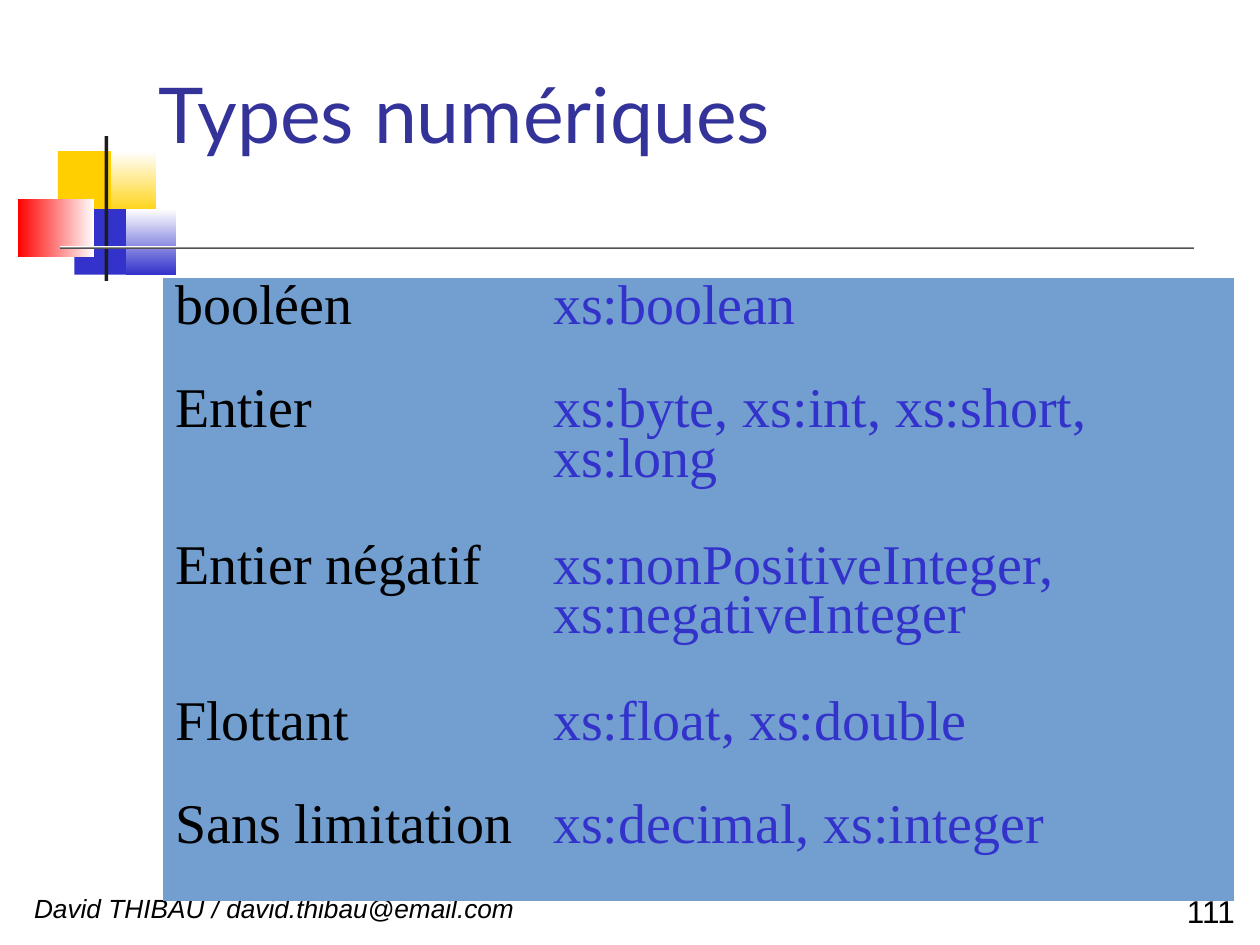
from pptx import Presentation
from pptx.dml.color import RGBColor as RGB
from pptx.enum.shapes import MSO_SHAPE as Shape
from pptx.enum.text import MSO_ANCHOR as Anchor, MSO_AUTO_SIZE as Fit, PP_ALIGN as Align
from pptx.oxml.ns import qn
from pptx.util import Inches, Pt

COLORS = {
    "yellow": "FFCF01", "blue": "3333CC", "red": "FF0000", "white": "FFFFFF",
    "dark": "1C1C1C", "title": "333399", "cell": "729FCF", "black": "000000",
}


def color(name):
    return RGB.from_string(COLORS[name])


def write(frame, text, face, size, tint, space, align=Align.LEFT):
    frame.word_wrap = True
    para = frame.paragraphs[0]
    para.alignment = align
    para.line_spacing = space
    run = para.add_run()
    run.text = text
    run.font.name = face
    run.font.size = Pt(size)
    run.font.color.rgb = color(tint)
    return run


deck = Presentation()
deck.slide_width, deck.slide_height = Inches(10), Inches(7.5)
slide = deck.slides.add_slide(deck.slide_layouts[5])

# Corner blocks and rules: left, top, width, height, colours, gradient angle
blocks = [
    (0.46, 1.2, 0.48, 0.52, ["yellow"], None),
    (0.88, 1.2, 0.36, 0.52, ["yellow", "white"], 90),
    (0.59, 1.66, 0.46, 0.52, ["blue"], None),
    (1, 1.66, 0.4, 0.52, ["blue", "white"], 90),
    (0.14, 1.58, 0.61, 0.46, ["white", "red"], 180),
    (0.83, 1.08, 0.03, 1.15, ["dark"], None),
    (0.48, 1.95, 9, 0.03, ["dark", "white"], 90),
]
for left, top, width, height, tints, angle in blocks:
    block = slide.shapes.add_shape(
        Shape.RECTANGLE, Inches(left), Inches(top), Inches(width), Inches(height))
    block.shadow.inherit = False
    block.line.fill.background()
    if angle is None:
        block.fill.solid()
        block.fill.fore_color.rgb = color(tints[0])
    else:
        block.fill.gradient()
        block.fill.gradient_angle = angle
        for stop, tint in zip(block.fill.gradient_stops, tints):
            stop.color.rgb = color(tint)

# Footer and page number
notes = [
    (0.27, 7.14, 8.51, 0.19, "David THIBAU / david.thibau@email.com", 15, Align.LEFT, True),
    (8.66, 7.15, 1.14, 0.23, "111", 18, Align.RIGHT, False),
]
for left, top, width, height, text, size, align, slant in notes:
    box = slide.shapes.add_textbox(
        Inches(left), Inches(top), Inches(width), Inches(height))
    frame = box.text_frame
    frame.margin_left = frame.margin_right = frame.margin_top = frame.margin_bottom = 0
    run = write(frame, text, "Arial", size, "black", 0.76, align)
    run.font.italic = slant

# Title
title = slide.shapes.title
title.left, title.top = Inches(1.26), Inches(0.09)
title.width, title.height = Inches(8.52), Inches(1.74)
frame = title.text_frame
frame.margin_left = frame.margin_right = frame.margin_top = frame.margin_bottom = 0
frame.vertical_anchor = Anchor.MIDDLE
frame.auto_size = Fit.NONE
write(frame, "Types numériques", "Lato", 44, "title", 0.82)

# Table of types: label, schema types, row height
rows = [
    ("booléen", "xs:boolean", 0.82),
    ("Entier", "xs:byte, xs:int, xs:short, xs:long", 1.24),
    ("Entier négatif", "xs:nonPositiveInteger, xs:negativeInteger", 1.24),
    ("Flottant", "xs:float, xs:double", 0.82),
    ("Sans limitation", "xs:decimal, xs:integer", 0.82),
]
table = slide.shapes.add_table(
    len(rows), 2, Inches(1.29), Inches(2.21), Inches(8.5), Inches(4.94)).table
table.first_row = table.horz_banding = False
# Plain style without borders
table._tbl.tblPr.find(qn("a:tableStyleId")).text = "{2D5ABB26-0587-4C30-8999-92F81FD0307C}"
table.columns[0].width, table.columns[1].width = Inches(3), Inches(5.5)
for i, (label, types, height) in enumerate(rows):
    table.rows[i].height = Inches(height)
    for j, (text, tint) in enumerate([(label, "black"), (types, "blue")]):
        cell = table.cell(i, j)
        cell.fill.solid()
        cell.fill.fore_color.rgb = color("cell")
        write(cell.text_frame, text, "Times New Roman", 32, tint, 0.8)

deck.save("out.pptx")
